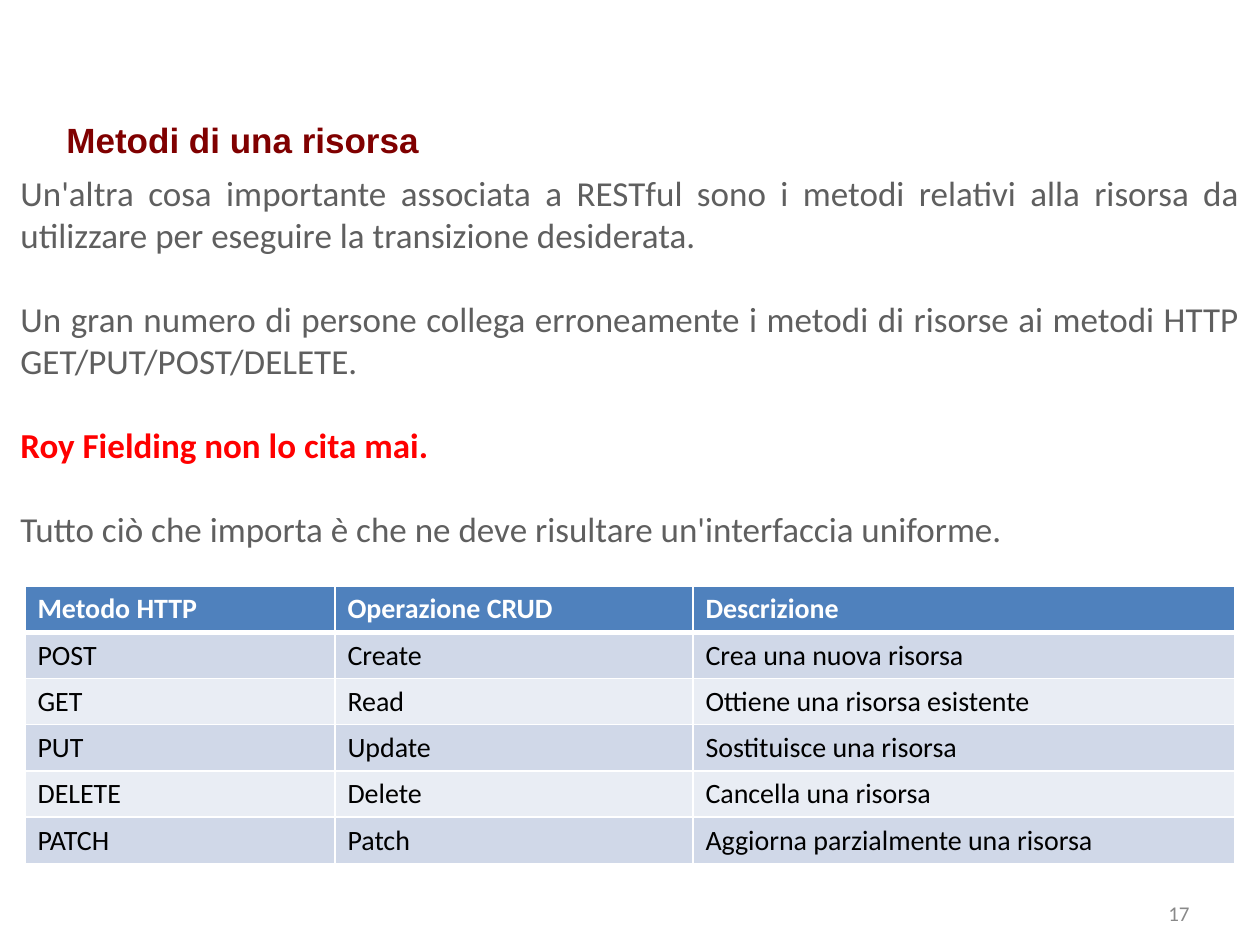
from lxml import etree
from pptx import Presentation
from pptx import util as u
from pptx.dml.color import RGBColor
from pptx.enum import text
from pptx.oxml import ns

PX = u.Inches(1) / 126  # one pixel in EMU

WHITE = RGBColor(0xFF, 0xFF, 0xFF)
BLACK = RGBColor(0, 0, 0)
MAROON = RGBColor(0x80, 0, 0)
RED = RGBColor(0xFF, 0, 0)
TEXT_GRAY = RGBColor(0x5F, 0x5F, 0x5F)
NUMBER_GRAY = RGBColor(0x89, 0x89, 0x89)
HEADER_BLUE = RGBColor(0x4F, 0x81, 0xBD)
BANDS = (RGBColor(0xD0, 0xD8, 0xE8), RGBColor(0xE9, 0xED, 0xF4))

BODY = [
    ("Un'altra cosa importante associata a RESTful sono i metodi relativi "
     "alla risorsa da utilizzare per eseguire la transizione desiderata.", False),
    ("Un gran numero di persone collega erroneamente i metodi di risorse "
     "ai metodi HTTP GET/PUT/POST/DELETE.", False),
    ("Roy Fielding non lo cita mai.", True),
    ("Tutto ciò che importa è che ne deve risultare un'interfaccia uniforme.", False),
]

COLUMN_WIDTHS = (310, 358, 542)
ROW_HEIGHT = 46
METHODS = [
    ("Metodo HTTP", "Operazione CRUD", "Descrizione"),
    ("POST", "Create", "Crea una nuova risorsa"),
    ("GET", "Read", "Ottiene una risorsa esistente"),
    ("PUT", "Update", "Sostituisce una risorsa"),
    ("DELETE", "Delete", "Cancella una risorsa"),
    ("PATCH", "Patch", "Aggiorna parzialmente una risorsa"),
]


def px(length):
    return u.Emu(round(length * PX))


def style(para, size, color, bold=False, name="Calibri"):
    para.font.size = u.Pt(size)
    para.font.color.rgb = color
    para.font.bold = bold
    para.font.name = name


def add_text_frame(page, left, top, width, height,
                   anchor=text.MSO_ANCHOR.MIDDLE):
    box = page.shapes.add_textbox(px(left), px(top), px(width), px(height))
    frame = box.text_frame
    frame.word_wrap = True
    frame.vertical_anchor = anchor
    return frame


def add_line(page, content, place, align, **font):
    para = add_text_frame(page, *place).paragraphs[0]
    para.text = content
    para.alignment = align
    style(para, **font)


def add_body(page):
    frame = add_text_frame(page, 8, 165, 1244, 394, text.MSO_ANCHOR.TOP)
    for index, (content, emphasis) in enumerate(BODY):
        para = frame.add_paragraph() if index else frame.paragraphs[0]
        para.text = content
        para.alignment = text.PP_ALIGN.JUSTIFY
        if index:
            para.space_before = u.Pt(24)
        style(para, 20, RED if emphasis else TEXT_GRAY, emphasis)


def set_borders(cell, **widths):
    properties = cell._tc.get_or_add_tcPr()
    for side in "LRTB":
        line = etree.SubElement(properties, ns.qn(f"a:ln{side}"),
                                w=str(u.Pt(widths.get(side, 1))))
        fill = etree.SubElement(line, ns.qn("a:solidFill"))
        etree.SubElement(fill, ns.qn("a:srgbClr"), val=str(WHITE))


def add_methods_table(page):
    table = page.shapes.add_table(
        len(METHODS), len(COLUMN_WIDTHS), px(25), px(586),
        px(sum(COLUMN_WIDTHS)), px(ROW_HEIGHT * len(METHODS))).table
    for column, width in zip(table.columns, COLUMN_WIDTHS):
        column.width = px(width)
    for row, values in enumerate(METHODS):
        header = row == 0
        for column, value in enumerate(values):
            cell = table.cell(row, column)
            # A thicker rule separates the header from the first row
            set_borders(cell, B=3 if header else 1, T=3 if row == 1 else 1)
            cell.fill.solid()
            cell.fill.fore_color.rgb = HEADER_BLUE if header else BANDS[(row - 1) % 2]
            cell.text = value
            style(cell.text_frame.paragraphs[0], 16,
                  WHITE if header else BLACK, header)


def main():
    deck = Presentation()
    deck.slide_width, deck.slide_height = px(1260), px(945)
    page = deck.slides.add_slide(deck.slide_layouts[6])

    # Title and page number
    add_line(page, "Metodi di una risorsa", (54, 76, 1134, 127),
             text.PP_ALIGN.LEFT, size=20, color=MAROON, bold=True, name="Arial")
    add_line(page, "17", (908, 888, 294, 50),
             text.PP_ALIGN.RIGHT, size=12, color=NUMBER_GRAY)

    # Explanation and table of methods
    add_body(page)
    add_methods_table(page)

    deck.save("out.pptx")


if __name__ == "__main__":
    main()
